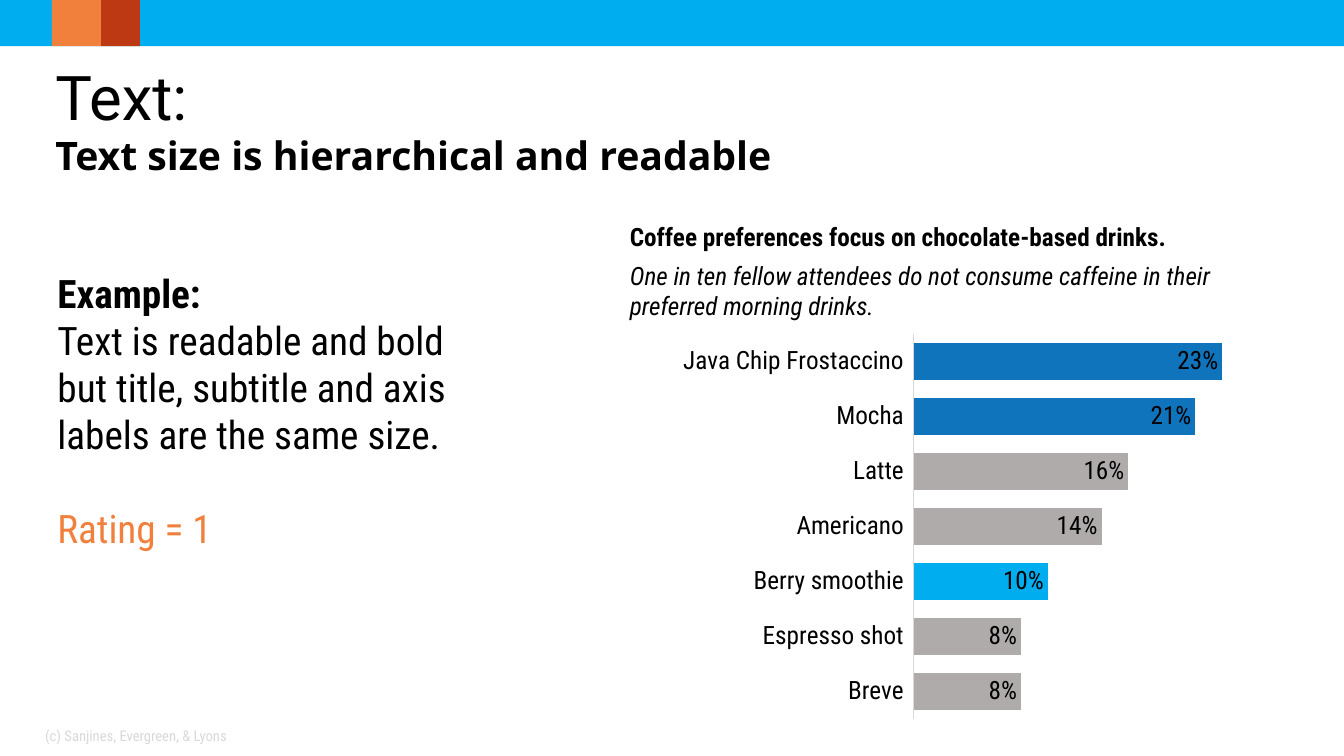
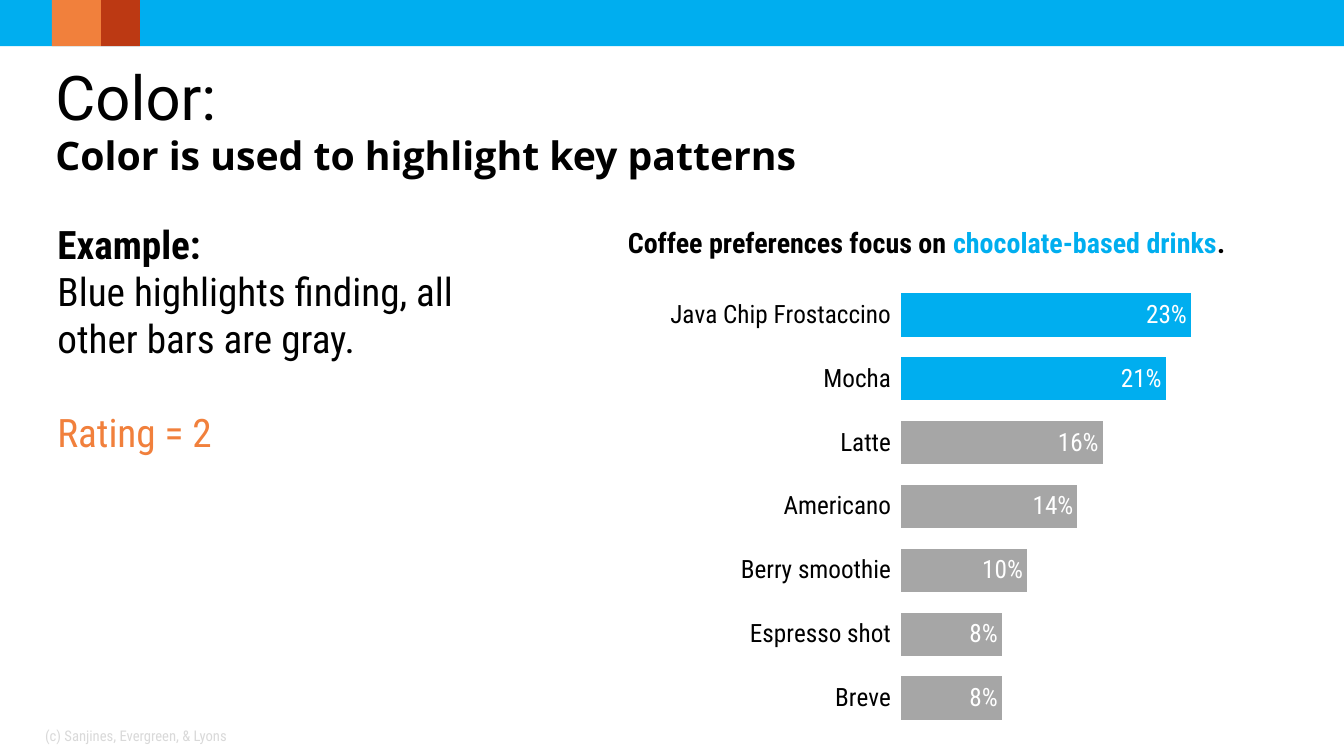
from lxml import etree
from pptx import Presentation
from pptx.chart.data import CategoryChartData
from pptx.dml.color import RGBColor
from pptx.enum.chart import XL_CHART_TYPE, XL_LABEL_POSITION, XL_TICK_LABEL_POSITION, XL_TICK_MARK
from pptx.enum.shapes import MSO_SHAPE
from pptx.enum.text import MSO_ANCHOR
from pptx.oxml.ns import qn
from pptx.util import Pt

BLACK = RGBColor(0x00, 0x00, 0x00)
WHITE = RGBColor(0xFF, 0xFF, 0xFF)
SKY = RGBColor(0x00, 0xAE, 0xEF)
BLUE = RGBColor(0x10, 0x74, 0xBC)
ORANGE = RGBColor(0xF1, 0x80, 0x3C)
RED = RGBColor(0xBC, 0x39, 0x13)
WARM_GRAY = RGBColor(0xAF, 0xAB, 0xAB)
MID_GRAY = RGBColor(0xA6, 0xA6, 0xA6)
PALE_GRAY = RGBColor(0xD9, 0xD9, 0xD9)
BODY_FONT, TITLE_FONT, SUBTITLE_FONT = "Roboto Condensed", "Roboto", "Open Sans"

# Content: boxes are left, top, width, height in points
FOOTER = "(c) Sanjines, Evergreen, & Lyons"
BANDS = [(0, 960, SKY), (72, 28, RED), (37, 35, ORANGE)]
BAND_HEIGHT = 33
DRINKS = [
    ("Breve", 0.08), ("Espresso shot", 0.08), ("Berry smoothie", 0.10),
    ("Americano", 0.14), ("Latte", 0.16), ("Mocha", 0.21),
    ("Java Chip Frostaccino", 0.23),
]
PLOT = {"x": 0.493, "y": 0.078, "w": 0.476, "h": 0.866}
SLIDES = [
    {
        "title": "Text:",
        "subtitle": "Text size is hierarchical and readable",
        "example": "Text is readable and bold but title, subtitle and axis labels are the same size.",
        "rating": "Rating = 1",
        "example_box": (34, 188.6, 318, 211),
        "heading": [
            [("Coffee preferences focus on chocolate-based drinks.", {"bold": True})],
            [("One in ten fellow attendees do not consume caffeine in their "
              "preferred morning drinks.", {"italic": True})],
        ],
        "heading_size": 18,
        "heading_box": (442.8, 154.8, 491, 78.5),
        "chart_box": (404.6, 213.8, 503.3, 317.5),
        "bar": WARM_GRAY,
        "highlights": {"Berry smoothie": SKY, "Mocha": BLUE, "Java Chip Frostaccino": BLUE},
        "label": BLACK,
        "axis_line": PALE_GRAY,
    },
    {
        "title": "Color:",
        "subtitle": "Color is used to highlight key patterns",
        "example": "Blue highlights finding, all other bars are gray.",
        "rating": "Rating = 2",
        "example_box": (34, 154, 332, 177),
        "heading": [
            [("Coffee preferences focus on ", {"bold": True}),
             ("chocolate-based drinks", {"bold": True, "color": SKY}),
             (".", {"bold": True})],
        ],
        "heading_size": 20,
        "heading_box": (441.4, 157.7, 456.5, 31.7),
        "chart_box": (410.4, 173.5, 473, 368.6),
        "bar": MID_GRAY,
        "highlights": {"Mocha": SKY, "Java Chip Frostaccino": SKY},
        "label": WHITE,
        "axis_line": None,
    },
]


def set_font(font, size, color=BLACK, name=BODY_FONT, bold=False, italic=False):
    font.size, font.name, font.bold, font.italic = Pt(size), name, bold, italic
    font.color.rgb = color


def add_run(p, text, **fmt):
    r = p.add_run()
    r.text = text
    set_font(r.font, **fmt)


def add_text(slide, box, paragraphs, size=28, anchor=MSO_ANCHOR.TOP, inset=7.2,
             after=0, **fmt):
    """Each paragraph is a list of (text, format) runs; keywords give the defaults."""
    tf = slide.shapes.add_textbox(*map(Pt, box)).text_frame
    tf.word_wrap = True
    tf.vertical_anchor = anchor
    tf.margin_left = tf.margin_right = Pt(inset)
    for i, runs in enumerate(paragraphs):
        p = tf.add_paragraph() if i else tf.paragraphs[0]
        p.space_after = Pt(after)
        for text, own in runs:
            add_run(p, text, **{"size": size, **fmt, **own})
    return tf.paragraphs


def add_frame(slide, title, subtitle):
    # Top band
    for left, width, color in BANDS:
        sp = slide.shapes.add_shape(MSO_SHAPE.RECTANGLE, Pt(left), 0, Pt(width), Pt(BAND_HEIGHT))
        sp.shadow.inherit = False
        sp.fill.solid()
        sp.fill.fore_color.rgb = color
        sp.line.fill.background()
    # Title and subtitle
    lines = add_text(slide, (39.6, 38, 900, 90), [
        [(title, {"size": 44, "name": TITLE_FONT})],
        [(subtitle, {"name": SUBTITLE_FONT, "bold": True})],
    ], inset=0)
    for p, spacing in zip(lines, (53, 33)):
        p.line_spacing = Pt(spacing)
    # Footer
    add_text(slide, (25.2, 511.2, 224, 28.8), [[(FOOTER, {})]], size=10.5,
             color=PALE_GRAY, anchor=MSO_ANCHOR.MIDDLE)


def set_plot_layout(chart):
    area = chart._chartSpace.find(".//" + qn("c:plotArea"))
    layout = area.find(qn("c:layout"))
    if layout is None:
        layout = etree.Element(qn("c:layout"))
        area.insert(0, layout)
    manual = etree.SubElement(layout, qn("c:manualLayout"))
    values = {"layoutTarget": "inner", "xMode": "edge", "yMode": "edge", **PLOT}
    for tag, value in values.items():
        etree.SubElement(manual, qn("c:" + tag)).set("val", str(value))


def add_bar_chart(slide, box, bar, highlights, label, axis_line):
    data = CategoryChartData(number_format="0%")
    data.categories = [name for name, _ in DRINKS]
    data.add_series("Series 1", [share for _, share in DRINKS])
    chart = slide.shapes.add_chart(XL_CHART_TYPE.BAR_CLUSTERED, *map(Pt, box), data).chart
    chart.has_title = chart.has_legend = False
    set_font(chart.font, 10)
    set_plot_layout(chart)

    # Axes
    axis = chart.category_axis
    axis.major_tick_mark = axis.minor_tick_mark = XL_TICK_MARK.NONE
    axis.tick_label_position = XL_TICK_LABEL_POSITION.LOW
    set_font(axis.tick_labels.font, 18)
    if axis_line is None:
        axis.format.line.fill.background()
    else:
        axis.format.line.color.rgb = axis_line
        axis.format.line.width = Pt(0.75)
    shares = chart.value_axis
    shares.minimum_scale, shares.maximum_scale = 0, 0.25
    shares.has_major_gridlines = False
    shares.visible = False

    # Bars and their labels
    plot = chart.plots[0]
    plot.gap_width = 48
    plot.vary_by_categories = False
    series = plot.series[0]
    series.invert_if_negative = False
    series.format.fill.solid()
    series.format.fill.fore_color.rgb = bar
    for i, (name, _) in enumerate(DRINKS):
        if name in highlights:
            fill = series.points[i].format.fill
            fill.solid()
            fill.fore_color.rgb = highlights[name]
    labels = series.data_labels
    labels.show_value = True
    labels.position = XL_LABEL_POSITION.INSIDE_END
    labels.number_format, labels.number_format_is_linked = "0%", False
    set_font(labels.font, 18, label)


def main():
    prs = Presentation()
    prs.slide_width, prs.slide_height = Pt(960), Pt(540)
    for c in SLIDES:
        slide = prs.slides.add_slide(prs.slide_layouts[6])
        add_frame(slide, c["title"], c["subtitle"])
        example = add_text(slide, c["example_box"], [
            [("Example:", {"bold": True})],
            [(c["example"], {})],
            [(c["rating"], {"color": ORANGE})],
        ])
        example[-1].space_before = Pt(33.5)
        add_bar_chart(slide, c["chart_box"], c["bar"], c["highlights"], c["label"], c["axis_line"])
        add_text(slide, c["heading_box"], c["heading"], size=c["heading_size"], after=6)
    prs.save("out.pptx")


if __name__ == "__main__":
    main()
